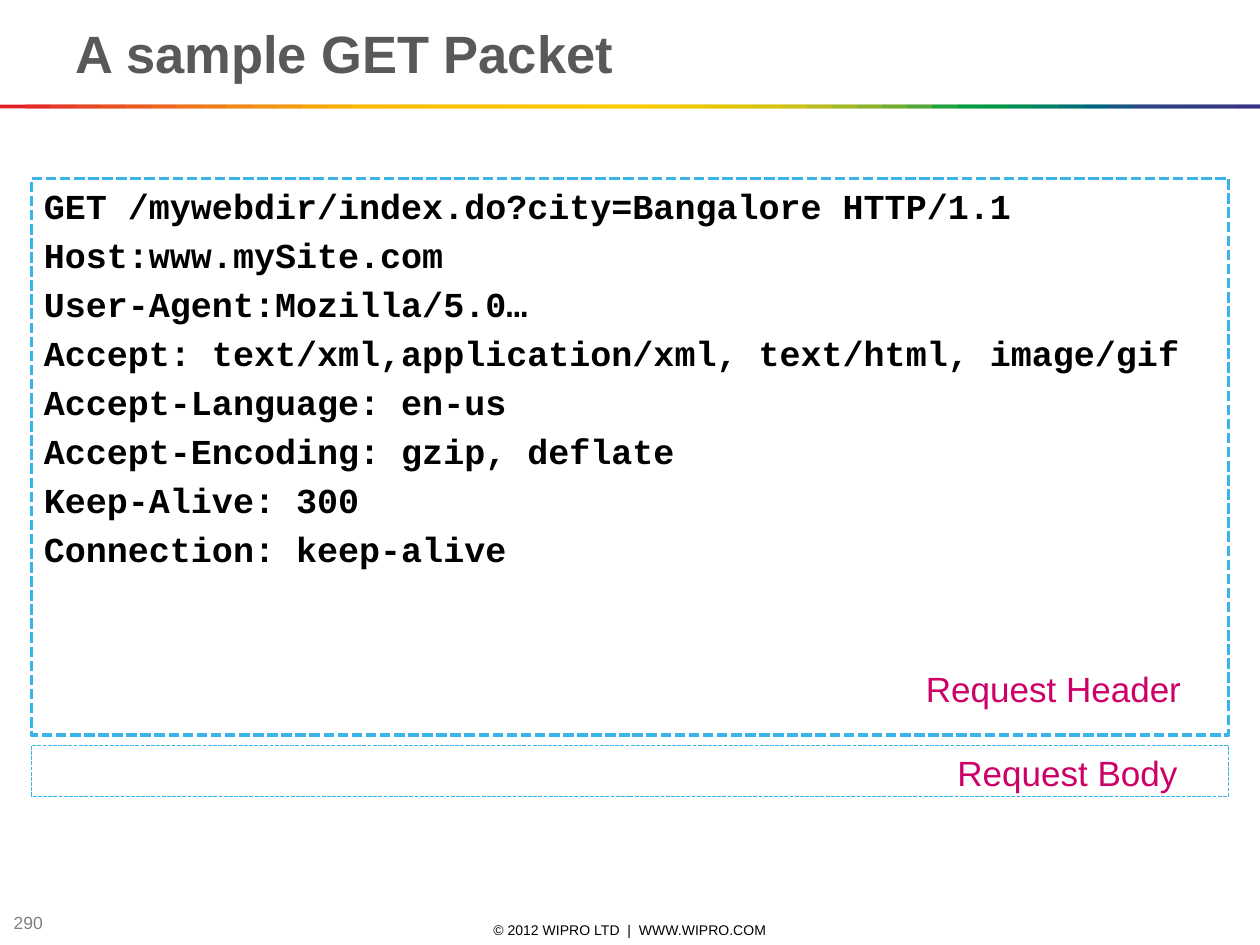
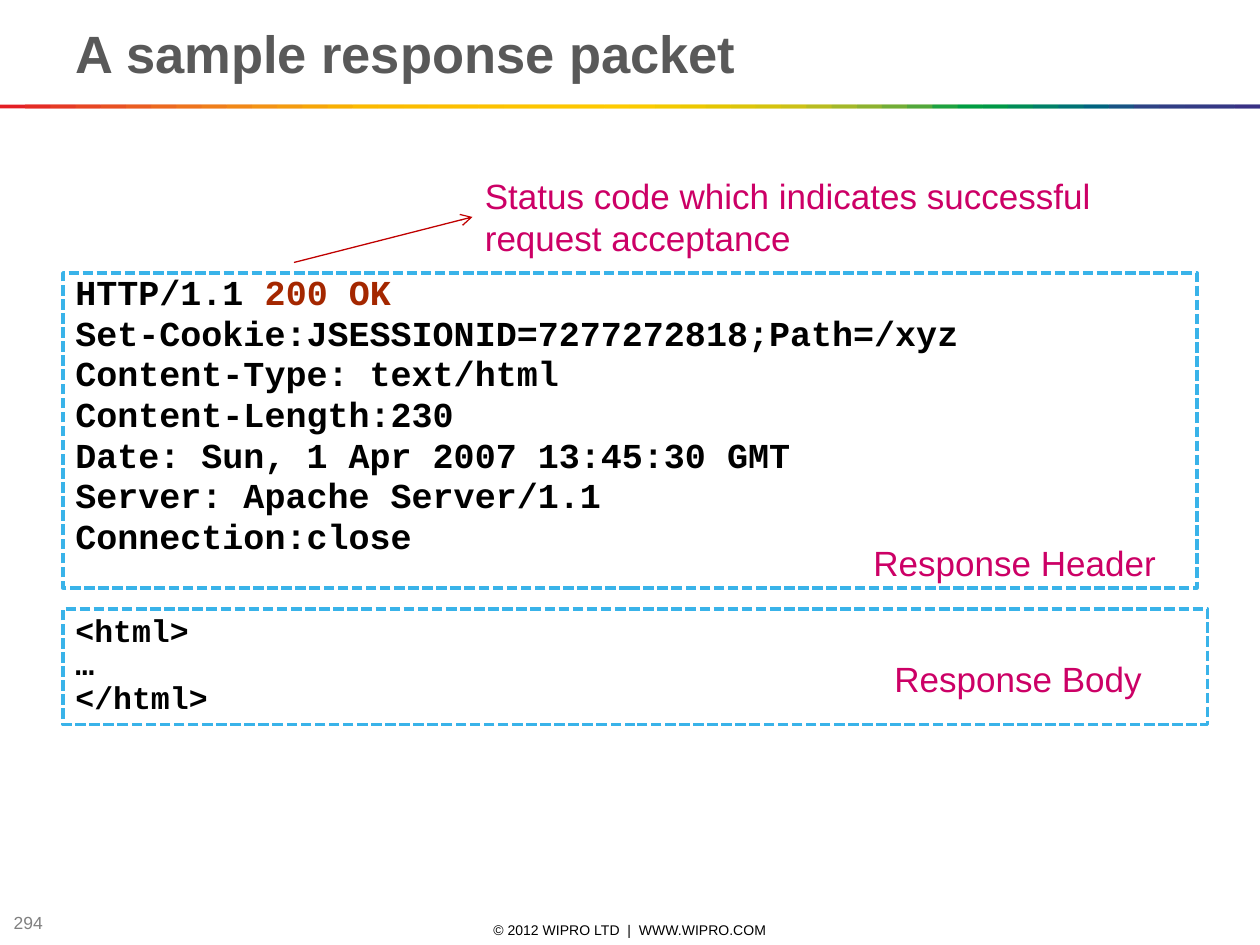
from lxml import etree
from pptx import Presentation
from pptx.dml.color import RGBColor
from pptx.enum.dml import MSO_LINE
from pptx.enum.shapes import MSO_CONNECTOR, MSO_SHAPE
from pptx.enum.text import MSO_ANCHOR as Anchor, PP_ALIGN as Align
from pptx.oxml.ns import qn
from pptx.util import Pt

COLORS = {
    "title": "595959",
    "code": "000000",
    "status": "A42700",
    "label": "CC0066",
    "border": "39B3E9",
    "arrow": "C00000",
    "paper": "FFFFFF",
    "footer": "000000",
    "number": "808080",
}
RAINBOW = """
    E31E24 E42C24 E53A24 E74623 E85122 EA5D21 EC691F EE741D EF7E1A F18817
    F39314 F49C0F F6A607 F8B002 FBBA00 FBBB00 FBBD00 FCBF00 FCC000 FCC200
    FDC400 FDC600 FDC700 FEC900 FECB00 FBCB00 F3CA00 ECC800 E4C602 DCC50A
    D5C30E CCC117 B8BC21 A3B829 8CB230 71AD36 51A73B 1DA240 009D43 009846
    008C57 008068 007275 00637F 185384 2E4285 313E85 333B85 353885 393185
""".split()
SANS, MONO = "Arial", "Courier New"
WIDTH, HEIGHT = 720, 540
FOOTER = "© 2012 WIPRO LTD  |  WWW.WIPRO.COM"

REQUEST_LINES = [
    "GET /mywebdir/index.do?city=Bangalore HTTP/1.1",
    "Host:www.mySite.com",
    "User-Agent:Mozilla/5.0…",
    "Accept: text/xml,application/xml, text/html, image/gif",
    "Accept-Language: en-us",
    "Accept-Encoding: gzip, deflate",
    "Keep-Alive: 300",
    "Connection: keep-alive",
]
RESPONSE_LINES = [
    "HTTP/1.1 ",
    "Set-Cookie:JSESSIONID=7277272818;Path=/xyz",
    "Content-Type: text/html",
    "Content-Length:230",
    "Date: Sun, 1 Apr 2007 13:45:30 GMT",
    "Server: Apache Server/1.1",
    "Connection:close",
]


def rgb(name):
    return RGBColor.from_string(COLORS[name])


class PacketDeck:
    """Holds the shared style and the slide being built; lengths are in points."""

    def __init__(self):
        self.deck = Presentation()
        self.deck.slide_width, self.deck.slide_height = Pt(WIDTH), Pt(HEIGHT)
        self.page = None

    def start_page(self, title, number):
        self.page = self.deck.slides.add_slide(self.deck.slide_layouts[5])
        self.text(FOOTER, (246, 525.6, 228, 11.5), 8, "footer", Anchor.MIDDLE, Align.CENTER)
        self.text(number, (0.7, 519.8, 54, 15.1), 10, "number", Anchor.MIDDLE)
        self.rainbow()
        self.title(title)

    def rainbow(self):
        """Draw overlapping strips so that no seam shows between two colours."""
        step = WIDTH / len(RAINBOW)
        for index, color in enumerate(RAINBOW):
            left = index * step
            strip = self.rectangle((left, 59.8, min(2 * step, WIDTH - left), 2.2))
            strip.fill.solid()
            strip.fill.fore_color.rgb = RGBColor.from_string(color)
            strip.line.fill.background()

    def title(self, words):
        box = self.page.shapes.title
        box.left, box.top, box.width, box.height = map(Pt, (36, 8.6, 648, 44))
        box.text_frame.text = words
        box.text_frame.word_wrap = True
        box.text_frame.vertical_anchor = Anchor.TOP
        para = box.text_frame.paragraphs[0]
        para.alignment = Align.LEFT
        self.style(para, 30, "title", SANS, bold=True)

    def style(self, para, size, color, font=SANS, bold=False):
        for span in para.runs:
            span.font.name, span.font.size, span.font.bold = font, Pt(size), bold
            span.font.color.rgb = rgb(color)

    def text(self, words, place, size, color, anchor=Anchor.TOP, align=Align.LEFT, wrap=True):
        frame = self.page.shapes.add_textbox(*map(Pt, place)).text_frame
        frame.word_wrap = wrap
        frame.vertical_anchor = anchor
        para = frame.paragraphs[0]
        para.text = words
        para.alignment = align
        self.style(para, size, color)

    def label(self, words, left, top, width):
        self.text(words, (left, top, width, 31.5), 20, "label", wrap=False)

    def rectangle(self, place):
        shape = self.page.shapes.add_shape(MSO_SHAPE.RECTANGLE, *map(Pt, place))
        shape.shadow.inherit = False
        return shape

    def dashed_box(self, place, line_width=2, filled=False):
        box = self.rectangle(place)
        if filled:
            box.fill.solid()
            box.fill.fore_color.rgb = rgb("paper")
        else:
            box.fill.background()
        box.line.color.rgb = rgb("border")
        box.line.width = Pt(line_width)
        box.line.dash_style = MSO_LINE.SQUARE_DOT
        return box

    def code(self, box, lines, size, pitch, gap=0):
        """Fill the box with code lines, pitch points high and gap points apart."""
        frame = box.text_frame
        frame.text = "\n".join(lines)
        frame.word_wrap = True
        frame.vertical_anchor = Anchor.TOP
        for index, para in enumerate(frame.paragraphs):
            para.alignment = Align.LEFT
            para.line_spacing = Pt(pitch)
            para.space_before = Pt(gap if index else 0)
            self.style(para, size, "code", MONO, bold=True)
        return frame

    def arrow(self, start, end):
        line = self.page.shapes.add_connector(MSO_CONNECTOR.STRAIGHT, *map(Pt, start + end))
        line.line.color.rgb = rgb("arrow")
        line.line.width = Pt(0.75)
        etree.SubElement(line.line._get_or_add_ln(), qn("a:tailEnd"), type="arrow")
        etree.SubElement(line._element.spPr, qn("a:effectLst"))


def build_request(deck):
    deck.start_page("A sample GET Packet", "290")
    header = deck.dashed_box((18, 102, 684, 318), filled=True)
    deck.code(header, REQUEST_LINES, 20, pitch=24, gap=4)
    deck.label("Request Header", 522, 378, 161)
    deck.label("Request Body", 540, 426, 141)
    deck.dashed_box((18, 426, 684, 29), line_width=0.75)


def build_response(deck):
    deck.start_page("A sample response packet", "294")
    header = deck.dashed_box((36, 156, 648, 180), filled=True)
    frame = deck.code(header, RESPONSE_LINES, 20, pitch=19.2, gap=4)
    status = frame.paragraphs[0].add_run()
    status.text = "200 OK"
    status.font.name, status.font.size, status.font.bold = MONO, Pt(20), True
    status.font.color.rgb = rgb("status")
    deck.label("Response Header", 492, 306, 177)
    deck.label("Response Body", 504, 372, 157)
    deck.text("Status code which indicates successful\vrequest acceptance",
              (270, 96, 432, 55.7), 20, "label")
    body = deck.dashed_box((36, 348, 654, 66))
    deck.code(body, ["<html>", "…", "</html>"], 18, pitch=19.1)
    deck.arrow((168, 150), (270, 124))


def main():
    deck = PacketDeck()
    build_request(deck)
    build_response(deck)
    deck.deck.save("out.pptx")


if __name__ == "__main__":
    main()
